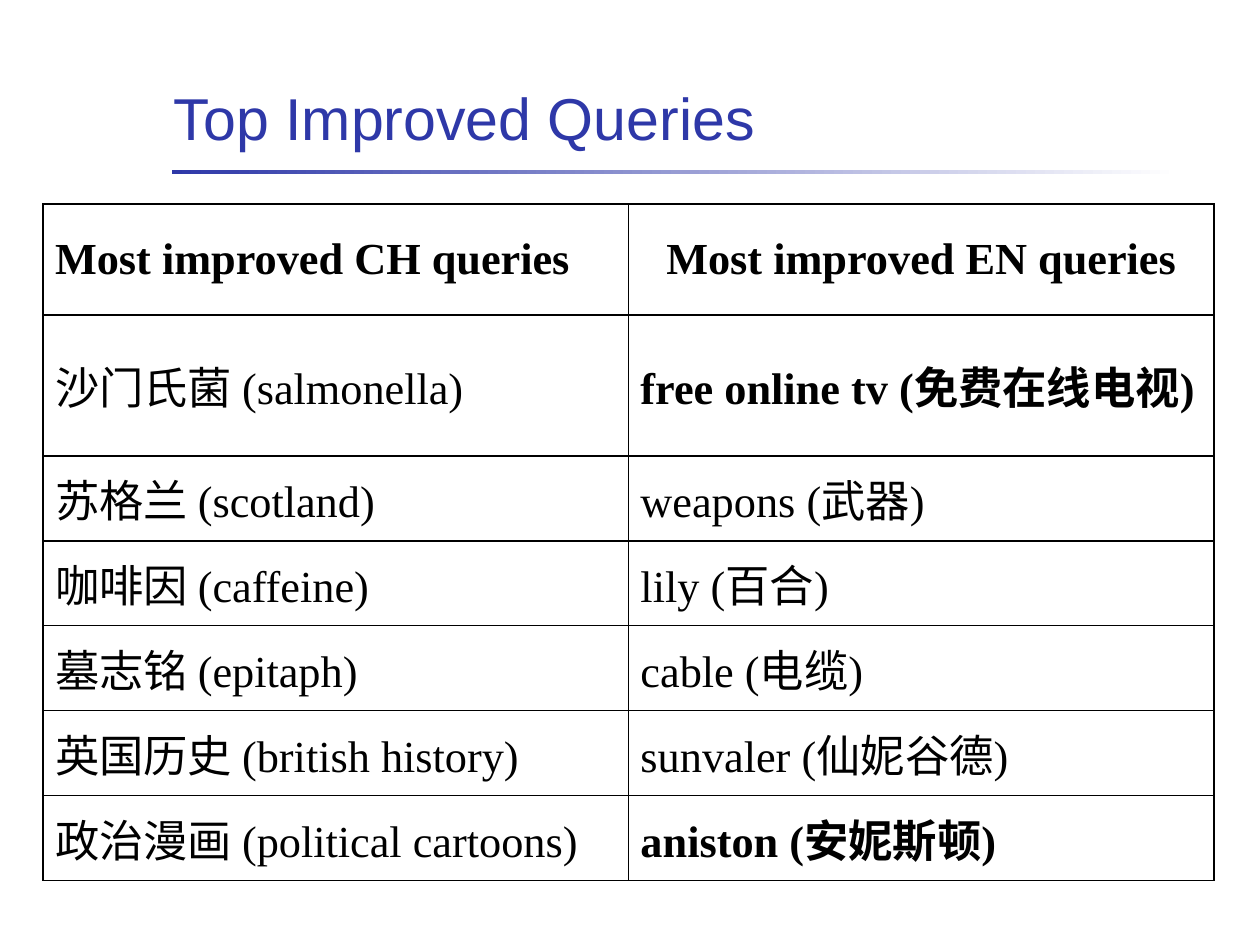
from dataclasses import dataclass
from itertools import groupby

from lxml.etree import SubElement
from pptx import Presentation
from pptx.dml.color import RGBColor
from pptx.enum.shapes import MSO_SHAPE
from pptx.enum.text import MSO_ANCHOR, PP_ALIGN
from pptx.oxml import parse_xml
from pptx.oxml.ns import nsdecls, qn
from pptx.util import Pt

TITLE = "Top Improved Queries"
HEADINGS = ("Most improved CH queries", "Most improved EN queries")
QUERIES = [
    ("沙门氏菌 (salmonella)", "free online tv (免费在线电视)"),
    ("苏格兰 (scotland)", "weapons (武器)"),
    ("咖啡因 (caffeine)", "lily (百合)"),
    ("墓志铭 (epitaph)", "cable (电缆)"),
    ("英国历史 (british history)", "sunvaler (仙妮谷德)"),
    ("政治漫画 (political cartoons)", "aniston (安妮斯顿)"),
]
BOLD_TEXTS = {*HEADINGS, QUERIES[0][1], QUERIES[-1][1]}

SCALE = 10320
SLIDE_SIZE = (1260, 945)
TITLE_BOX = (162, 38, 1134, 157)
RULE_BOX = (172, 170, 1007, 4)
TABLE_LEFT, TABLE_TOP, TABLE_WIDTH = 43, 204, 1171
HEADER_HEIGHT, WRAPPED_HEIGHT, ROW_HEIGHT = 111, 141, 85
ROW_HEIGHTS = [HEADER_HEIGHT, WRAPPED_HEIGHT] + [ROW_HEIGHT] * (len(QUERIES) - 1)
HANGING_INDENT = 34
SIDE_MARGIN, END_MARGIN = 12, 6


@dataclass(frozen=True)
class Theme:
    accent: RGBColor = RGBColor(0x2E, 0x38, 0xA8)
    paper: RGBColor = RGBColor(0xFF, 0xFF, 0xFF)
    ink: RGBColor = RGBColor(0, 0, 0)
    title_font: str = "Arial"
    latin_font: str = "Times New Roman"
    chinese_font: str = "Noto Sans CJK SC"
    title_size: int = 48
    table_size: int = 36
    border_width: int = 1


THEME = Theme()


def px(value):
    return value * SCALE


def scaled(box):
    return [px(value) for value in box]


def is_chinese(letter):
    return "一" <= letter <= "鿿"


def set_margins(target):
    target.margin_left = target.margin_right = px(SIDE_MARGIN)
    target.margin_top = target.margin_bottom = px(END_MARGIN)


def style_paragraph(paragraph, size, color, bold=False):
    paragraph.font.size = Pt(size)
    paragraph.font.color.rgb = color
    paragraph.font.bold = bold


def add_borders(cell):
    properties = cell._tc.get_or_add_tcPr()
    for index, side in enumerate(("lnL", "lnR", "lnT", "lnB")):
        properties.insert(index, parse_xml(
            f'<a:{side} {nsdecls("a")} w="{Pt(THEME.border_width)}"><a:solidFill>'
            f'<a:srgbClr val="{THEME.ink}"/></a:solidFill></a:{side}>'))


def fill_cell(cell, text):
    cell.fill.background()
    add_borders(cell)
    set_margins(cell)
    cell.vertical_anchor = MSO_ANCHOR.MIDDLE
    paragraph = cell.text_frame.paragraphs[0]
    style_paragraph(paragraph, THEME.table_size, THEME.ink, text in BOLD_TEXTS)
    if text == HEADINGS[1]:
        paragraph.alignment = PP_ALIGN.CENTER
    indents = paragraph._p.get_or_add_pPr()
    indents.set("marL", str(px(HANGING_INDENT)))
    indents.set("indent", str(-px(HANGING_INDENT)))
    for chinese, letters in groupby(text, is_chinese):
        span = paragraph.add_run()
        span.text = "".join(letters)
        span.font.name = THEME.chinese_font if chinese else THEME.latin_font
        if chinese:
            SubElement(span._r.get_or_add_rPr(), qn("a:ea"), typeface=THEME.chinese_font)


def add_title(page):
    rule = page.shapes.add_shape(MSO_SHAPE.RECTANGLE, *scaled(RULE_BOX))
    rule.shadow.inherit = False
    rule.line.fill.background()
    rule.fill.gradient()
    rule.fill.gradient_angle = 0
    for stop, color in zip(rule.fill.gradient_stops, (THEME.accent, THEME.paper)):
        stop.color.rgb = color
    frame = page.shapes.add_textbox(*scaled(TITLE_BOX)).text_frame
    frame.word_wrap = True
    frame.vertical_anchor = MSO_ANCHOR.MIDDLE
    set_margins(frame)
    paragraph = frame.paragraphs[0]
    paragraph.text = TITLE
    paragraph.font.name = THEME.title_font
    style_paragraph(paragraph, THEME.title_size, THEME.accent)


def add_queries(page):
    rows = [HEADINGS, *QUERIES]
    table_box = (TABLE_LEFT, TABLE_TOP, TABLE_WIDTH, sum(ROW_HEIGHTS))
    table = page.shapes.add_table(len(rows), len(HEADINGS), *scaled(table_box)).table
    table.first_row = table.horz_banding = False
    for row_index, (texts, height) in enumerate(zip(rows, ROW_HEIGHTS)):
        table.rows[row_index].height = px(height)
        for column_index, text in enumerate(texts):
            fill_cell(table.cell(row_index, column_index), text)


def main():
    deck = Presentation()
    deck.slide_width, deck.slide_height = scaled(SLIDE_SIZE)
    page = deck.slides.add_slide(deck.slide_layouts[6])
    add_title(page)
    add_queries(page)
    deck.save("out.pptx")


if __name__ == "__main__":
    main()
